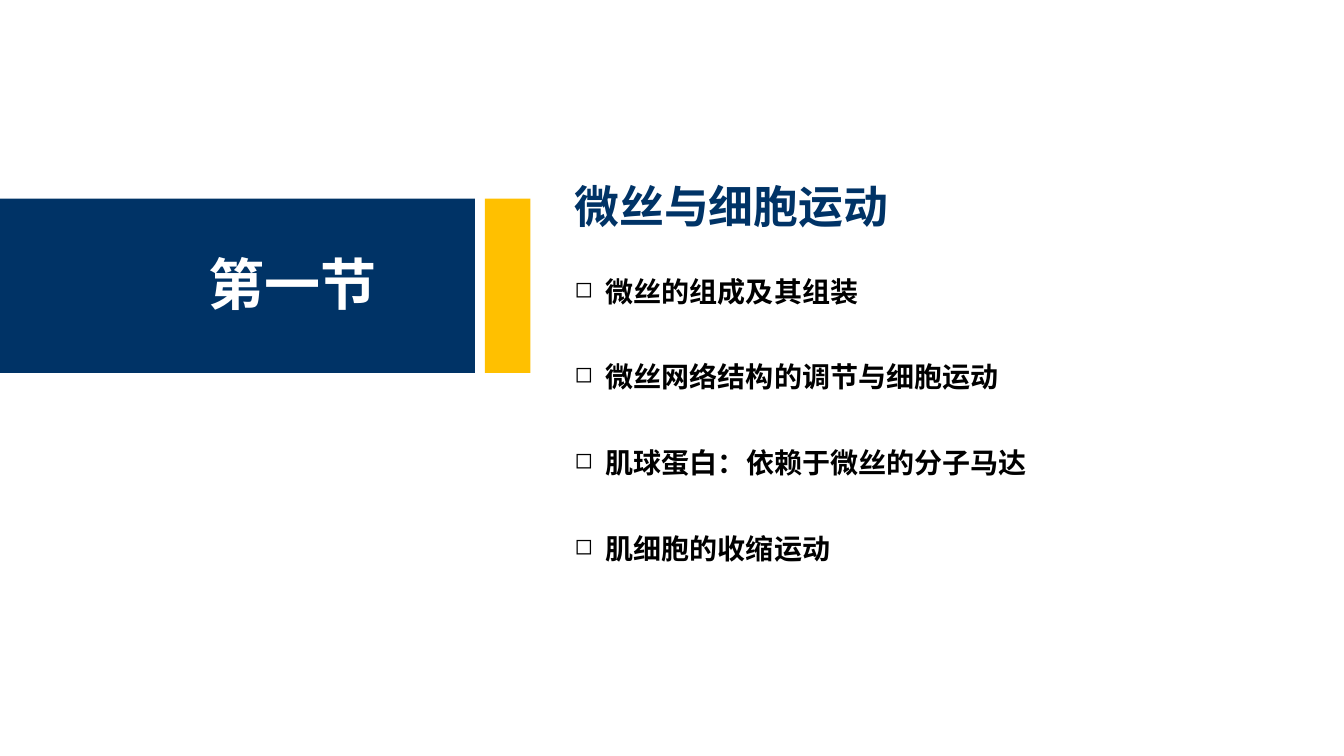
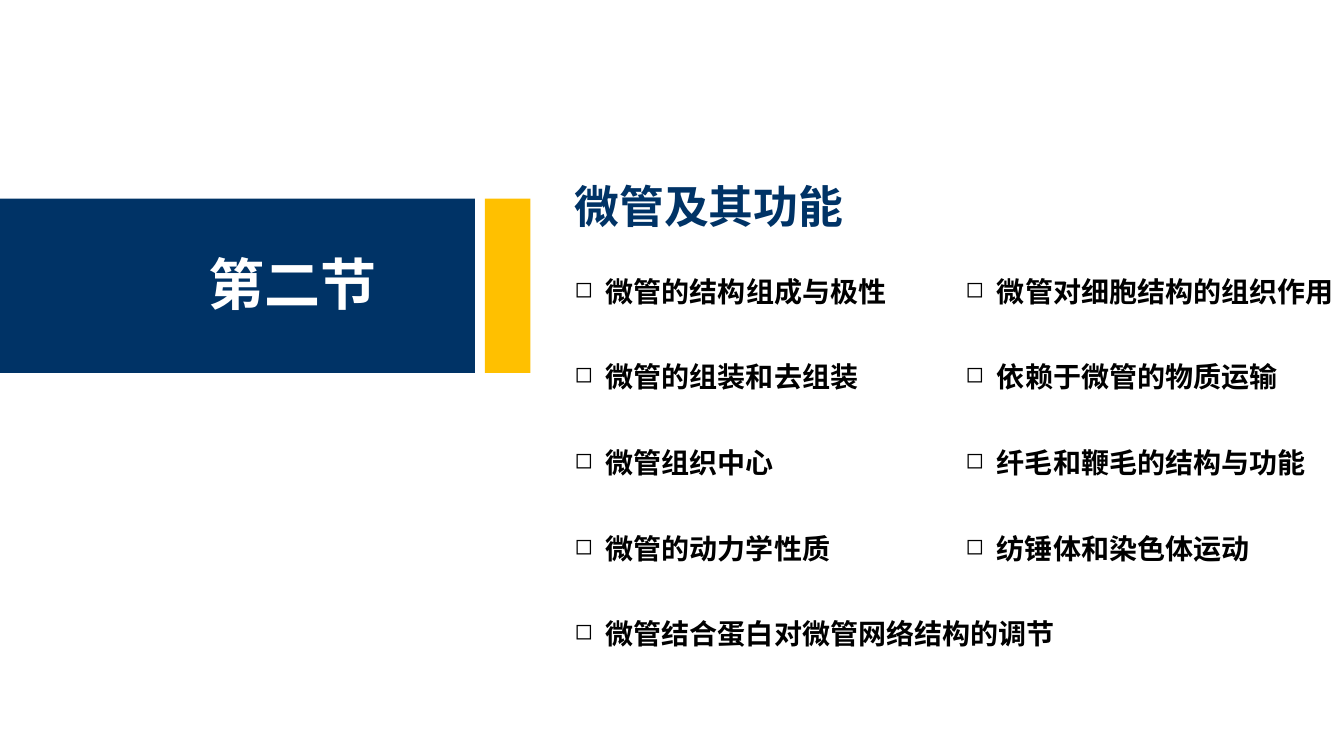
from dataclasses import dataclass

from lxml.etree import SubElement
from pptx import Presentation
from pptx.dml.color import RGBColor
from pptx.enum.shapes import MSO_SHAPE as Shape
from pptx.enum.text import MSO_AUTO_SIZE as AutoSize
from pptx.oxml.ns import qn
from pptx.util import Inches, Pt


@dataclass(frozen=True)
class Theme:
    font: str = "Noto Sans CJK SC"
    navy: str = "003366"
    gold: str = "FFC000"
    white: str = "FFFFFF"
    black: str = "000000"
    label_size: int = 40
    title_size: int = 32
    topic_size: int = 20
    bullet_percent: int = 80


BAND_TOP, BAND_HEIGHT = 1.97, 1.73
COLUMN_LEFTS = (5.6, 9.48)
TOPIC_TOP, TOPIC_PITCH, TOPIC_HEIGHT = 2.67, 0.85, 0.44
TOPIC_INDENT = 0.31
BOX_PADDING = 0.21
CHARACTER_WIDTH = 0.28

SECTIONS = [
    ("第一节", "微丝与细胞运动", [
        ["微丝的组成及其组装", "微丝网络结构的调节与细胞运动",
         "肌球蛋白：依赖于微丝的分子马达", "肌细胞的收缩运动"],
    ]),
    ("第二节", "微管及其功能", [
        ["微管的结构组成与极性", "微管的组装和去组装", "微管组织中心",
         "微管的动力学性质", "微管结合蛋白对微管网络结构的调节"],
        ["微管对细胞结构的组织作用", "依赖于微管的物质运输",
         "纤毛和鞭毛的结构与功能", "纺锤体和染色体运动"],
    ]),
]


class SectionDeck:
    def __init__(self, theme):
        self.theme = theme
        self.deck = Presentation()
        self.deck.slide_width = Inches(13.33)
        self.deck.slide_height = Inches(7.5)
        self.page = None

    def add_page(self):
        self.page = self.deck.slides.add_slide(self.deck.slide_layouts[6])

    def band(self, left, width, color):
        shape = self.page.shapes.add_shape(
            Shape.RECTANGLE, Inches(left), Inches(BAND_TOP), Inches(width), Inches(BAND_HEIGHT))
        shape.shadow.inherit = False
        shape.fill.solid()
        shape.fill.fore_color.rgb = RGBColor.from_string(color)
        shape.line.fill.background()

    def text(self, words, left, top, width, height, size, color, wrap=False, bullet=None):
        box = self.page.shapes.add_textbox(
            Inches(left), Inches(top), Inches(width), Inches(height))
        frame = box.text_frame
        frame.word_wrap = wrap
        frame.auto_size = AutoSize.SHAPE_TO_FIT_TEXT
        para = frame.paragraphs[0]
        para.text = words
        if bullet:
            self.set_bullet(para, bullet)
        self.set_font(para, size, color)

    def set_bullet(self, para, mark):
        properties = para._p.get_or_add_pPr()
        properties.set("marL", str(Inches(TOPIC_INDENT)))
        properties.set("indent", str(-Inches(TOPIC_INDENT)))
        scale = SubElement(properties, qn("a:buSzPct"))
        scale.set("val", str(self.theme.bullet_percent * 1000))
        SubElement(properties, qn("a:buChar")).set("char", mark)

    def set_font(self, para, size, color):
        font = para.font
        font.size = Pt(size)
        font.bold = True
        font.color.rgb = RGBColor.from_string(color)
        font.name = self.theme.font
        east_asian = SubElement(para._p.pPr.find(qn("a:defRPr")), qn("a:ea"))
        east_asian.set("typeface", self.theme.font)

    def topic(self, words, column, row):
        """Add one bulleted line, as wide as its full-width characters need."""
        width = BOX_PADDING + TOPIC_INDENT + len(words) * CHARACTER_WIDTH
        self.text(words, COLUMN_LEFTS[column], TOPIC_TOP + row * TOPIC_PITCH,
                  width, TOPIC_HEIGHT, self.theme.topic_size, self.theme.black, bullet="◻")

    def section(self, label, title, columns):
        theme = self.theme
        self.add_page()
        self.band(0, 4.71, theme.navy)
        self.band(4.81, 0.45, theme.gold)
        self.text(label, 1.97, 2.43, 1.88, 0.77, theme.label_size, theme.white)
        self.text(title, COLUMN_LEFTS[0], 1.72, 5.6, 0.64,
                  theme.title_size, theme.navy, wrap=True)
        for column, topics in enumerate(columns):
            for row, words in enumerate(topics):
                self.topic(words, column, row)


def main():
    builder = SectionDeck(Theme())
    for label, title, columns in SECTIONS:
        builder.section(label, title, columns)
    builder.deck.save("out.pptx")


if __name__ == "__main__":
    main()
